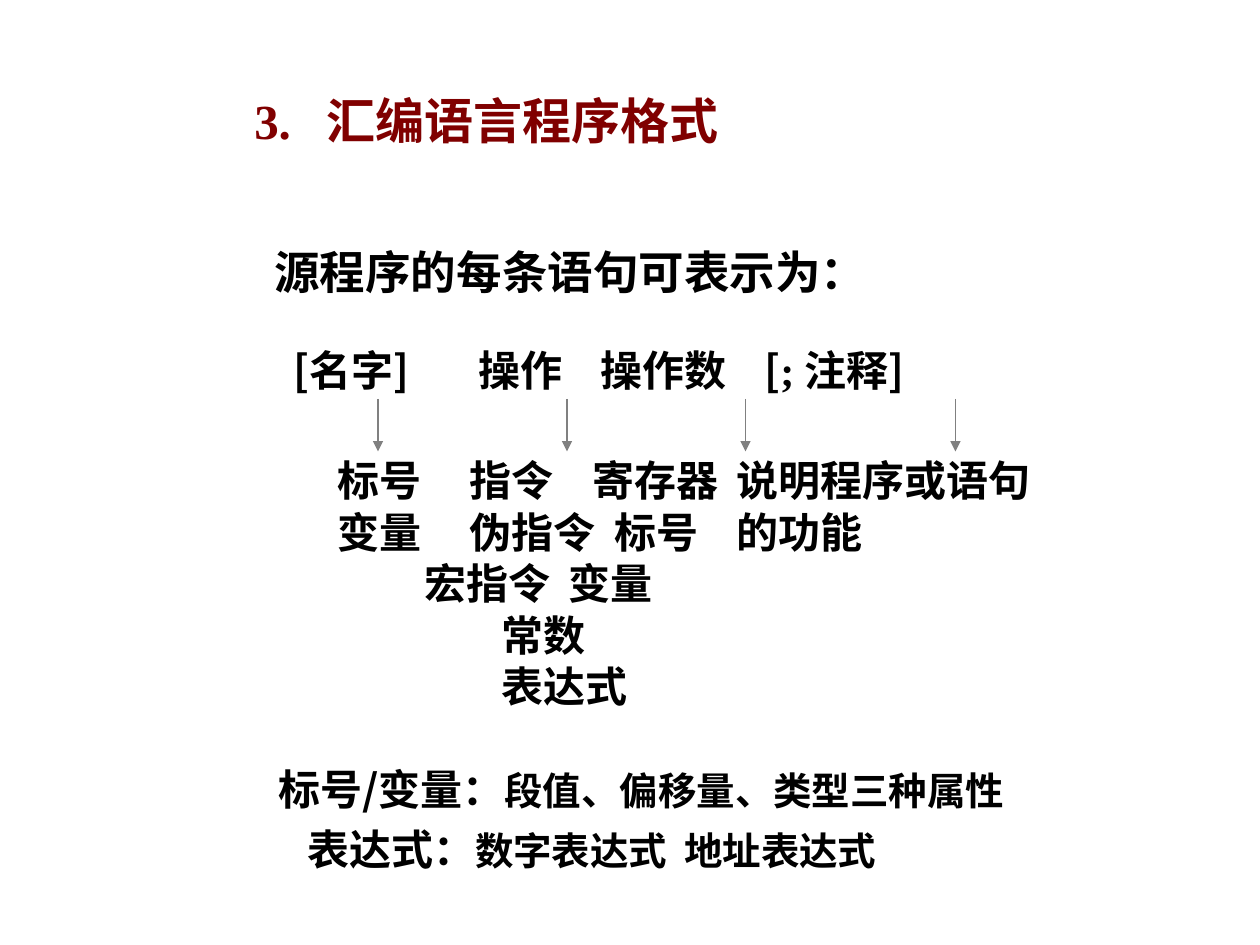
"""Build the slide on the statement format of an assembly language program."""
import pptx
import pptx.dml.color
import pptx.enum.shapes
import pptx.enum.text
import pptx.oxml.ns
import pptx.util
from lxml import etree

Pt = pptx.util.Pt
qn = pptx.oxml.ns.qn
ANCHOR = pptx.enum.text.MSO_ANCHOR
COLORS = {"heading": "800000", "body": "000000", "arrow": "808080"}
SANS, SERIF = "Noto Sans CJK SC", "Times New Roman"


def apply_format(target, values):
    for name, value in values.items():
        setattr(target, name, value)


def add_text(slide, box, frame_format, line_format, color, lines):
    frame = slide.shapes.add_textbox(*map(Pt, box)).text_frame
    apply_format(frame, {
        "word_wrap": True,
        "auto_size": pptx.enum.text.MSO_AUTO_SIZE.SHAPE_TO_FIT_TEXT,
        **frame_format,
    })
    for index, (stops, runs) in enumerate(lines):
        line = frame.add_paragraph() if index else frame.paragraphs[0]
        apply_format(line, line_format)
        if stops:
            tabs = etree.SubElement(line._p.get_or_add_pPr(), qn("a:tabLst"))
            for stop in stops:
                etree.SubElement(tabs, qn("a:tab"), pos=str(Pt(stop)), algn="l")
        for wording, size, face in runs:
            run = line.add_run()
            run.text = wording
            apply_format(run.font, {"name": face, "size": Pt(size), "bold": True})
            run.font.color.rgb = pptx.dml.color.RGBColor.from_string(COLORS[color])
            etree.SubElement(run.font._element, qn("a:ea"), typeface=SANS)


presentation = pptx.Presentation()
apply_format(presentation, {"slide_width": Pt(720), "slide_height": Pt(540)})
slide = presentation.slides.add_slide(presentation.slide_layouts[6])

add_text(slide, (138.24, 48.24, 396, 41), {}, {}, "heading", [
    ([41.5], [("3.\t汇编语言程序格式", 28, SERIF)]),
])

meanings = [
    ([75.5, 145.5, 228], "标号\t指令\t寄存器\t说明程序或语句"),
    ([75.5, 158.5, 228], "变量\t伪指令\t标号\t的功能"),
    ([49.5, 132], "\t宏指令\t变量"),
    ([93.5], "\t常数"),
    ([93.5], "\t表达式"),
]
add_text(slide, (185.76, 268.56, 498.24, 139.68), {"vertical_anchor": ANCHOR.MIDDLE},
         {"line_spacing": 0.5, "space_before": Pt(15)}, "body",
         [(stops, [(wording, 24, SANS)]) for stops, wording in meanings])

for field_x in (216, 324, 426, 546):
    arrow = slide.shapes.add_connector(
        pptx.enum.shapes.MSO_CONNECTOR.STRAIGHT,
        Pt(field_x), Pt(228), Pt(field_x), Pt(258))
    arrow.line.width = Pt(1)
    arrow.line.color.rgb = pptx.dml.color.RGBColor.from_string(COLORS["arrow"])
    etree.SubElement(arrow.line._get_or_add_ln(), qn("a:tailEnd"), type="triangle")
    etree.SubElement(arrow._element.spPr, qn("a:effectLst"))

add_text(slide, (149.76, 108, 468, 121.68), {}, {"line_spacing": 1.9}, "body", [
    ([], [("源程序的每条语句可表示为：", 26, SANS)]),
    ([11, 116.5, 186.5, 280], [
        ("\t[名字]\t操作\t操作数\t[", 24, SANS),
        ("; ", 24, SERIF),
        ("注释]", 24, SANS),
    ]),
])

add_text(slide, (151.92, 426.96, 443.52, 76.32),
         {"vertical_anchor": ANCHOR.MIDDLE, "word_wrap": False},
         {"line_spacing": 1.2}, "body", [
    ([], [("标号/变量：", 24, SANS), ("段值、偏移量、类型三种属性", 22, SERIF)]),
    ([16.5, 232], [("\t表达式：", 24, SANS), ("数字表达式\t地址表达式", 22, SANS)]),
])

presentation.save("out.pptx")
